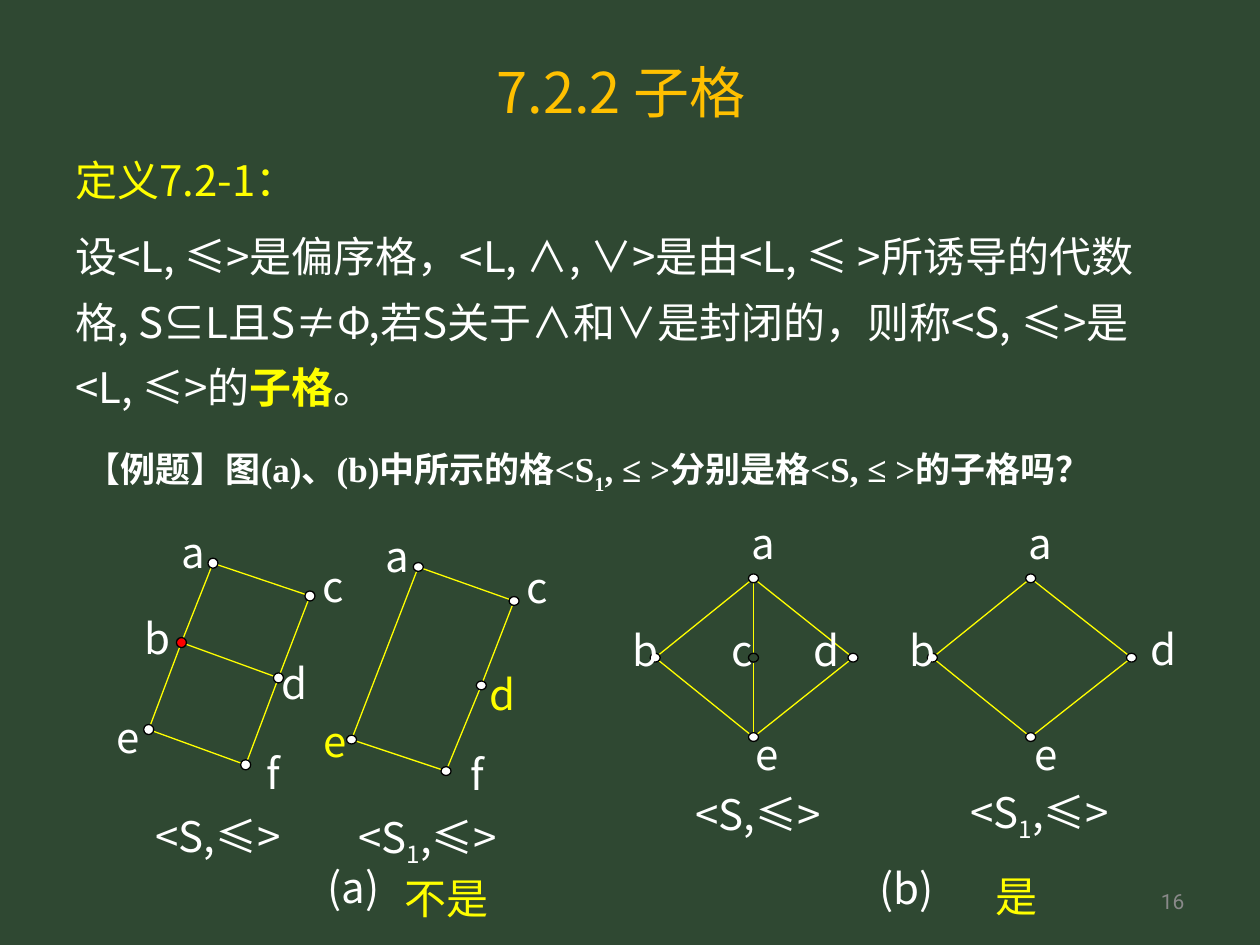
from math import hypot
from lxml.etree import SubElement
from pptx import Presentation
from pptx.dml.color import RGBColor
from pptx.enum.shapes import MSO_CONNECTOR as Link, MSO_SHAPE as Form
from pptx.enum.text import MSO_ANCHOR as Anchor, MSO_AUTO_SIZE as Auto, PP_ALIGN as Align
from pptx.oxml.ns import qn
from pptx.util import Inches, Pt

SANS, SERIF, NUM = "Noto Sans CJK SC", "Times New Roman", "Roboto"
WHITE, YELLOW, GOLD, GRAY = "FFFFFF", "FFFF00", "FFC000", "898989"
BLACK, RED, GREEN = "000000", "FF0000", "2F4832"
L, C, R = Align.LEFT, Align.CENTER, Align.RIGHT

BOLD, SUB = {"bold": True}, {"base": "-25000"}
HEAD = [("7.2.2 子格", {})]
TERM = [("定义7.2-1：", {"color": YELLOW})]
RULE = [
    ("设<L, ≤>是偏序格，<L, ∧, ∨>是由<L, ≤ >所诱导的代数格, S⊆L且S≠Φ,"
     "若S关于∧和∨是封闭的，则称<S, ≤>是<L, ≤>的", {}),
    ("子格", {"color": YELLOW, "bold": True}),
    ("。", {}),
]
TASK = [
    ("【", {}), ("例题", BOLD), ("】", {}),
    ("图(a)、(b)中所示的格<S", BOLD), ("1", BOLD | SUB),
    (", ≤ >分别是格<S, ≤ >的子格吗？", BOLD),
]
WHOLE = [("<S,≤>", {})]
PART = [("<S", {}), ("1", SUB), (",≤>", {})]

NOTES = [
    ((1.13, 6.38, 1.2, 0.5), WHOLE, C, WHITE),
    ((2.64, 6.39, 1.51, 0.56), PART, C, WHITE),
    ((5.41, 6.21, 1.2, 0.5), WHOLE, R, WHITE),
    ((7.58, 6.19, 1.32, 0.56), PART, R, WHITE),
    ((2.31, 6.79, 0.8, 0.5), [("(a)", {})], R, WHITE),
    ((6.71, 6.8, 0.8, 0.5), [("(b)", {})], R, WHITE),
]
REPLIES = [((3.11, 6.93, 1.02, 0.39), "不是"), ((7.8, 6.91, 1.02, 0.39), "是")]

# letter: centre x, y, dot fill, label left, top, width, align, colour
GRAPHS = [
    (0.08, "ab be ac cd df ef bd", {
        "a": (1.69, 4.47, WHITE, 1.33, 4.13, 0.4, R, WHITE),
        "b": (1.44, 5.1, RED, 1.05, 4.81, 0.4, R, WHITE),
        "c": (2.46, 4.73, WHITE, 2.43, 4.4, 0.4, R, WHITE),
        "d": (2.21, 5.38, WHITE, 2.14, 5.17, 0.4, R, WHITE),
        "e": (1.18, 5.79, WHITE, 0.81, 5.6, 0.4, R, WHITE),
        "f": (1.95, 6.07, WHITE, 1.92, 5.88, 0.4, R, WHITE),
    }),
    (0.07, "ac ae cd df ef", {
        "a": (3.32, 4.5, WHITE, 2.95, 4.16, 0.4, R, WHITE),
        "c": (4.08, 4.77, WHITE, 4.05, 4.41, 0.4, R, WHITE),
        "d": (3.82, 5.44, WHITE, 3.79, 5.26, 0.4, R, YELLOW),
        "e": (2.79, 5.87, WHITE, 2.45, 5.63, 0.4, R, YELLOW),
        "f": (3.54, 6.12, WHITE, 3.54, 5.89, 0.4, R, WHITE),
    }),
    (0.07, "ab ac ad be ce de", {
        "a": (5.98, 4.59, WHITE, 5.86, 4.06, 0.4, C, WHITE),
        "b": (5.2, 5.22, WHITE, 4.92, 4.91, 0.24, C, WHITE),
        "c": (5.98, 5.22, None, 5.71, 4.91, 0.23, C, WHITE),
        "d": (6.77, 5.22, WHITE, 6.36, 4.91, 0.24, C, WHITE),
        "e": (5.98, 5.85, WHITE, 5.9, 5.73, 0.31, R, WHITE),
    }),
    (0.07, "ab ad be de", {
        "a": (8.18, 4.59, WHITE, 8.06, 4.06, 0.4, C, WHITE),
        "b": (7.4, 5.22, WHITE, 7.12, 4.91, 0.24, C, WHITE),
        "d": (8.98, 5.22, WHITE, 9.03, 4.9, 0.24, C, WHITE),
        "e": (8.18, 5.85, WHITE, 8.11, 5.73, 0.31, R, WHITE),
    }),
]

deck = Presentation()
deck.slide_width, deck.slide_height = Inches(10), Inches(7.5)
slide = deck.slides.add_slide(deck.slide_layouts[6])
shapes = slide.shapes


def paint(fill, tone):
    fill.solid()
    fill.fore_color.rgb = RGBColor.from_string(tone)


def put(item, form):
    for key, value in form.items():
        setattr(item, key, value)


def write(para, runs, size=24, color=WHITE, face=SANS, **form):
    put(para, form)
    for text, look in runs:
        run = para.add_run()
        run.text = text
        put(run.font, {"size": Pt(size), "name": face, "bold": look.get("bold", False)})
        paint(run.font.fill, look.get("color", color))
        props = run._r.get_or_add_rPr()
        SubElement(props, qn("a:ea")).set("typeface", SANS)
        if "base" in look:
            props.set("baseline", look["base"])


def box(area, wrap=True, auto=Auto.NONE, anchor=Anchor.TOP):
    frame = shapes.add_textbox(*map(Inches, area)).text_frame
    put(frame, {"word_wrap": wrap, "auto_size": auto, "vertical_anchor": anchor})
    return frame


def edge(start, end, trim=0.04):
    (x, y), (u, v) = start, end
    size = hypot(u - x, v - y)
    dx, dy = trim * (u - x) / size, trim * (v - y) / size
    line = shapes.add_connector(Link.STRAIGHT, *map(Inches, (x + dx, y + dy, u - dx, v - dy)))
    paint(line.line.fill, YELLOW)
    line.line.width = Pt(0.75)
    SubElement(line._element.spPr, qn("a:effectLst"))


def dot(x, y, high, tone):
    node = shapes.add_shape(Form.OVAL, *map(Inches, (x - 0.04, y - high / 2, 0.08, high)))
    node.shadow.inherit = False
    if tone:
        paint(node.fill, tone)
    else:
        node.fill.background()
    paint(node.line.fill, BLACK)
    node.line.width = Pt(0.75)


paint(slide.background.fill, GREEN)
write(box((7.17, 6.95, 2.33, 0.4), anchor=Anchor.MIDDLE).paragraphs[0],
      [("16", {})], 12, GRAY, NUM, alignment=R)
write(box((0.67, 0.36, 8.52, 0.73), anchor=Anchor.MIDDLE).paragraphs[0],
      HEAD, 32, GOLD, alignment=C)

body = box((0.5, 1.18, 8.83, 2.15), auto=Auto.SHAPE_TO_FIT_TEXT)
write(body.paragraphs[0], TERM, space_after=Pt(6))
write(body.add_paragraph(), RULE, line_spacing=1.3)

para = box((0.58, 3.43, 8.67, 0.56), auto=Auto.SHAPE_TO_FIT_TEXT).paragraphs[0]
props = para._p.get_or_add_pPr()
props.set("marL", str(Inches(0.38)))
props.set("indent", str(Inches(-0.38)))
write(para, TASK, 20, face=SERIF, line_spacing=1.2)

for high, edges, nodes in GRAPHS:
    for a, b in edges.split():
        edge(nodes[a][:2], nodes[b][:2])
    for name, (x, y, tone, left, top, wide, side, color) in nodes.items():
        dot(x, y, high, tone)
        label = box((left, top, wide, 0.5), wide < 0.4, Auto.SHAPE_TO_FIT_TEXT)
        write(label.paragraphs[0], [(name, {})], color=color, alignment=side)

for area, runs, side, color in NOTES:
    write(box(area, False, Auto.SHAPE_TO_FIT_TEXT).paragraphs[0], runs, color=color, alignment=side)
for area, text in REPLIES:
    write(box(area, anchor=Anchor.MIDDLE).paragraphs[0], [(text, {})], color=YELLOW, alignment=L)

deck.save("out.pptx")
